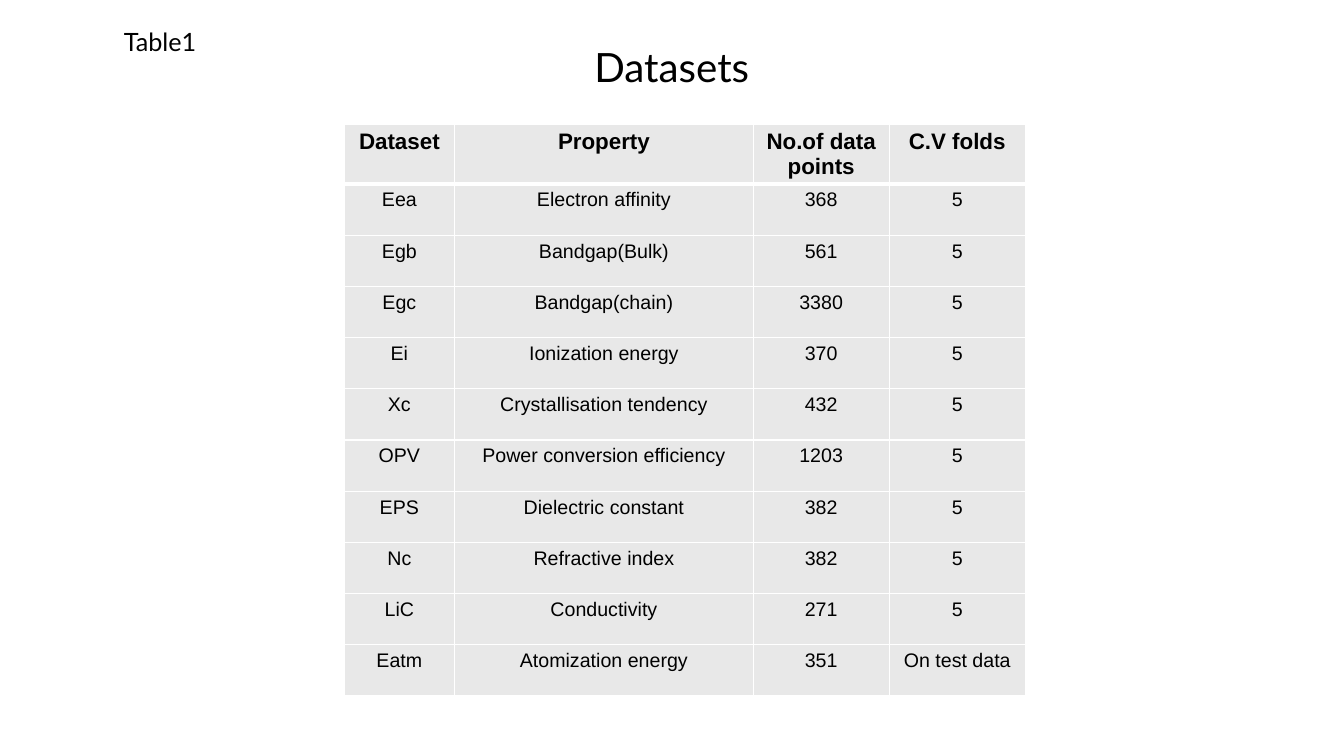
import lxml.etree
import pptx
import pptx.dml.color
import pptx.enum.text
import pptx.oxml.ns
import pptx.util

Cm = pptx.util.Cm
Pt = pptx.util.Pt
BLACK = pptx.dml.color.RGBColor(0x00, 0x00, 0x00)
WHITE = pptx.dml.color.RGBColor(0xFF, 0xFF, 0xFF)
GREY = pptx.dml.color.RGBColor(0xE8, 0xE8, 0xE8)
CENTER = pptx.enum.text.PP_ALIGN.CENTER
MIDDLE = pptx.enum.text.MSO_ANCHOR.MIDDLE

TITLE_FONT = {"name": "Lato", "size": Pt(28.8), "bold": False}
LABEL_FONT = {"name": "Lato", "size": Pt(18)}
HEADER_FONT = {"name": "Arial", "size": Pt(16), "bold": True}
BODY_FONT = {"name": "Arial", "size": Pt(14), "bold": False}

COLUMN_WIDTHS = [2.79, 7.52, 3.43, 3.43]
DATASETS = [
    ("Dataset", "Property", "No.of data points", "C.V folds"),
    ("Eea", "Electron affinity", "368", "5"),
    ("Egb", "Bandgap(Bulk)", "561", "5"),
    ("Egc", "Bandgap(chain)", "3380", "5"),
    ("Ei", "Ionization energy", "370", "5"),
    ("Xc", "Crystallisation tendency", "432", "5"),
    ("OPV", "Power conversion efficiency", "1203", "5"),
    ("EPS", "Dielectric constant", "382", "5"),
    ("Nc", "Refractive index", "382", "5"),
    ("LiC", "Conductivity", "271", "5"),
    ("Eatm", "Atomization energy", "351", "On test data"),
]


def set_attributes(target, values):
    for key, value in values.items():
        setattr(target, key, value)


def write_text(frame, text, font, **paragraph_format):
    paragraph = frame.paragraphs[0]
    set_attributes(paragraph, paragraph_format)
    run = paragraph.add_run()
    run.text = text
    set_attributes(run.font, font)
    run.font.color.rgb = BLACK


def add_border(cell, widths):
    qn = pptx.oxml.ns.qn
    properties = cell._tc.get_or_add_tcPr()
    for position, (side, width) in enumerate(widths.items()):
        line = lxml.etree.Element(qn(f"a:ln{side}"), w=str(Pt(width)))
        fill = lxml.etree.SubElement(line, qn("a:solidFill"))
        lxml.etree.SubElement(fill, qn("a:srgbClr"), val=str(WHITE))
        properties.insert(position, line)


def place_title(slide, left, top, width, height):
    heading = slide.shapes.title
    set_attributes(heading, {"left": left, "top": top, "width": width, "height": height})
    set_attributes(heading.text_frame, {"vertical_anchor": MIDDLE, "word_wrap": False})
    write_text(heading.text_frame, "Datasets", TITLE_FONT, alignment=CENTER, line_spacing=0.9)


def place_label(slide, left, top, width, height):
    label = slide.shapes.add_textbox(left, top, width, height)
    label.text_frame.word_wrap = True
    write_text(label.text_frame, "Table1", LABEL_FONT)


def place_datasets(slide, left, top, width, height):
    table = slide.shapes.add_table(
        len(DATASETS), len(COLUMN_WIDTHS), left, top, width, height
    ).table
    table.horz_banding = False
    for column, column_width in zip(table.columns, COLUMN_WIDTHS):
        column.width = Cm(column_width)
    for row_index, values in enumerate(DATASETS):
        is_header = row_index == 0
        font = HEADER_FONT if is_header else BODY_FONT
        top_width = 3 if row_index == 1 else 1
        bottom_width = 3 if is_header else 1
        for column_index, value in enumerate(values):
            cell = table.cell(row_index, column_index)
            cell.fill.solid()
            cell.fill.fore_color.rgb = GREY
            add_border(cell, {"L": 1, "R": 1, "T": top_width, "B": bottom_width})
            write_text(cell.text_frame, value, font, alignment=CENTER)


def build_slide(presentation):
    slide = presentation.slides.add_slide(presentation.slide_layouts[5])
    place_title(slide, Cm(14.68), Cm(1.04), Cm(4.5), Cm(1.4))
    place_datasets(slide, Cm(8.67), Cm(3.13), Cm(sum(COLUMN_WIDTHS)), Cm(1.29 * len(DATASETS)))
    place_label(slide, Cm(2.87), Cm(0.53), Cm(3.25), Cm(1.02))


def main():
    presentation = pptx.Presentation()
    set_attributes(presentation, {"slide_width": Cm(33.87), "slide_height": Cm(19.05)})
    build_slide(presentation)
    presentation.save("out.pptx")


if __name__ == "__main__":
    main()
